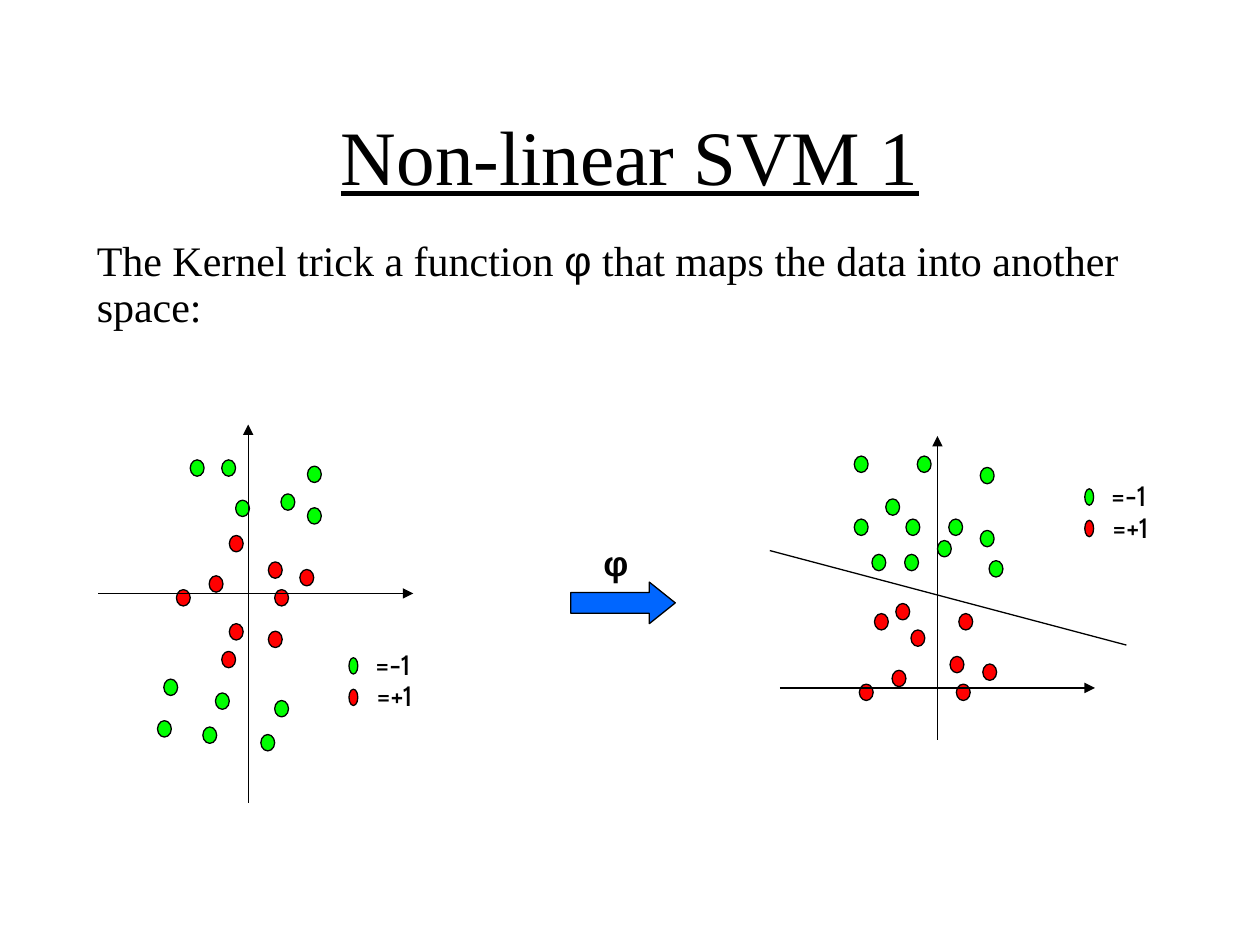
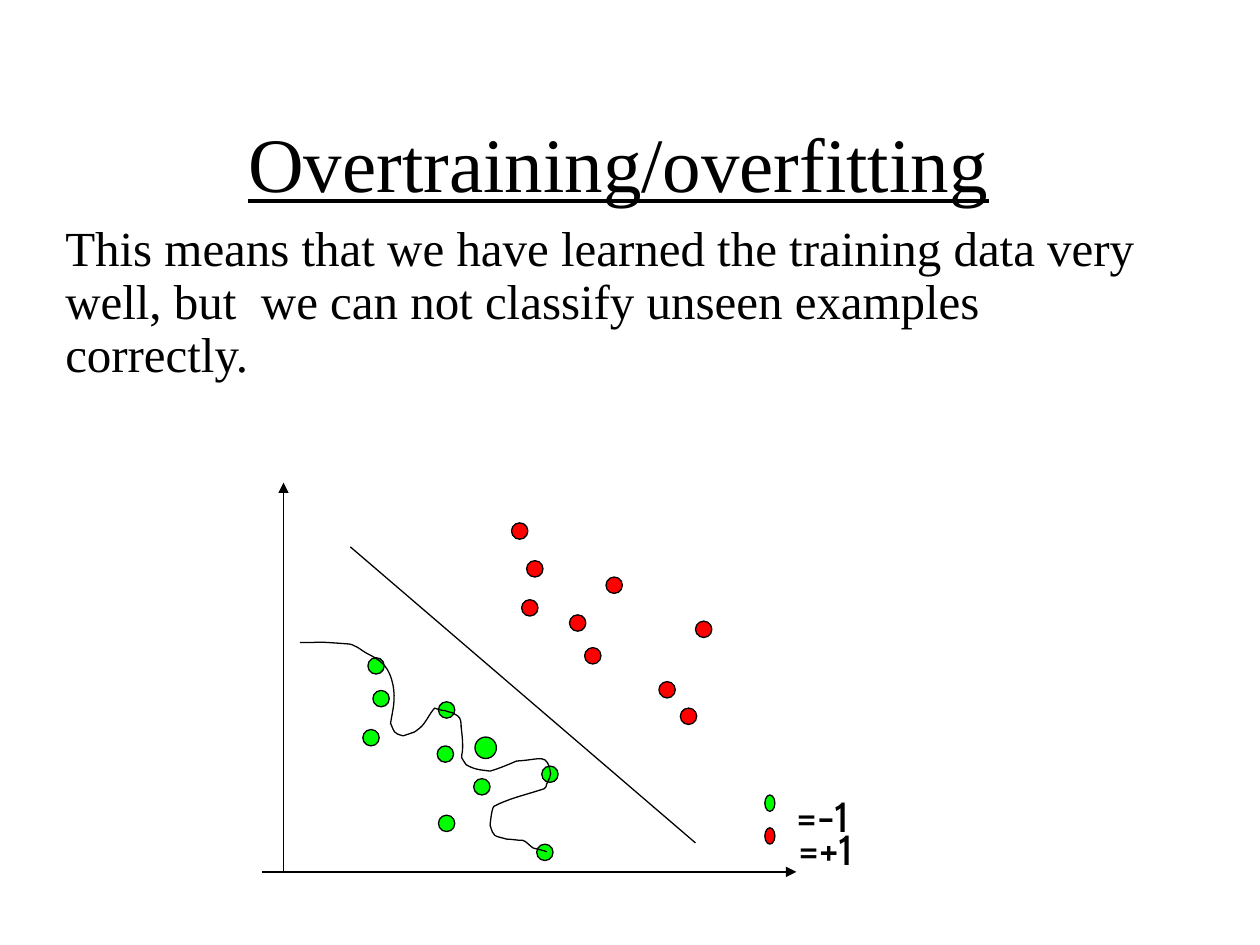
"""Build two slides on non-linear support vector machines and overfitting."""
from dataclasses import dataclass
from typing import NamedTuple

from lxml.etree import SubElement
from pptx import Presentation
from pptx.dml.color import RGBColor
from pptx.enum.shapes import MSO_CONNECTOR as Connector, MSO_SHAPE as Preset
from pptx.enum.text import MSO_ANCHOR as Anchor, MSO_AUTO_SIZE as AutoSize, PP_ALIGN as Align
from pptx.oxml.ns import qn
from pptx.shapes.autoshape import Shape
from pptx.slide import Slide
from pptx.util import Inches, Pt


@dataclass(frozen=True)
class Theme:
    black: RGBColor = RGBColor(0x00, 0x00, 0x00)
    negative: RGBColor = RGBColor(0x00, 0xFF, 0x00)
    positive: RGBColor = RGBColor(0xFF, 0x00, 0x00)
    arrow: RGBColor = RGBColor(0x00, 0x66, 0xFF)
    serif: str = "Times New Roman"
    symbol: str = "Arial"
    label: str = "Cabin"
    title_size: int = 44
    large_body_size: int = 28
    body_size: int = 24
    phi_size: int = 20
    legend_size: int = 16
    large_legend_size: int = 24
    line_width: float = 0.75


THEME = Theme()


class Point(NamedTuple):
    x: float
    y: float


class Box(NamedTuple):
    left: float
    top: float
    width: float
    height: float


class Run(NamedTuple):
    text: str
    font: str = THEME.serif


@dataclass(frozen=True)
class Line:
    start: Point
    end: Point
    arrow: bool = False


@dataclass(frozen=True)
class Legend:
    left: float
    top: float
    marker_width: float = 0.07
    pitch: float = 0.25
    negative_label: Box = Box(0.11, -0.1, 0.52, 0.34)
    positive_label: Box = Box(0.12, -0.1, 0.58, 0.34)
    size: int = THEME.legend_size


@dataclass(frozen=True)
class Plot:
    negatives: list[tuple[float, float]]
    positives: list[tuple[float, float]]
    dot_width: float
    lines: list[Line]
    legend: Legend


DOT_HEIGHT = 0.13

INPUT_SPACE = Plot(
    negatives=[(1.87, 3.97), (2.23, 3.92), (2.18, 5.56), (1.25, 5.72), (1.61, 5.77),
               (2.07, 5.83), (1.51, 3.65), (1.3, 5.39), (1.71, 5.5), (1.76, 3.65),
               (2.44, 3.7), (2.44, 4.03)],
    positives=[(2.13, 5.01), (2.38, 4.52), (1.76, 5.17), (2.18, 4.68), (1.82, 4.25),
               (1.82, 4.95), (2.13, 4.46), (1.66, 4.57), (1.4, 4.68)],
    dot_width=0.11,
    lines=[Line(Point(1.97, 6.37), Point(1.97, 3.37), True),
           Line(Point(0.78, 4.71), Point(3.28, 4.71), True)],
    legend=Legend(2.77, 5.22),
)

FEATURE_SPACE = Plot(
    negatives=[(7.28, 3.62), (7.44, 4.29), (7.78, 4.21), (6.78, 3.62), (7.03, 3.96),
               (7.53, 4.12), (6.92, 4.4), (6.78, 4.12), (7.19, 4.12), (7.18, 4.4),
               (7.85, 4.45), (7.78, 3.71)],
    positives=[(7.61, 4.87), (7.8, 5.27), (6.94, 4.87), (7.59, 5.43), (7.23, 5),
               (7.11, 4.79), (7.54, 5.21), (7.08, 5.32), (6.82, 5.43)],
    dot_width=0.11,
    lines=[Line(Point(7.44, 5.87), Point(7.44, 3.46), True),
           Line(Point(6.19, 5.46), Point(8.69, 5.46), True),
           Line(Point(6.11, 4.37), Point(8.94, 5.12))],
    legend=Legend(8.61, 3.88),
)

OVERFIT = Plot(
    negatives=[(2.92, 5.22), (2.96, 5.48), (4.3, 6.08), (3.48, 5.57), (3.76, 6.18),
               (3.48, 6.47), (2.88, 5.79), (3.47, 5.92), (4.26, 6.7)],
    positives=[(4.06, 4.15), (4.81, 4.58), (5.52, 4.93), (5.4, 5.62), (4.14, 4.76),
               (4.64, 5.14), (5.23, 5.41), (4.52, 4.88), (4.18, 4.45)],
    dot_width=0.13,
    lines=[Line(Point(2.25, 6.92), Point(2.25, 3.83), True),
           Line(Point(2.08, 6.92), Point(6.32, 6.92), True),
           Line(Point(2.78, 4.34), Point(5.52, 6.69))],
    legend=Legend(6.07, 6.31, 0.08, 0.26, Box(0.15, -0.04, 0.69, 0.46),
                  Box(0.17, -0.04, 0.77, 0.46), THEME.large_legend_size),
)

BOUNDARY_START = Point(4.34, 6.76)
BOUNDARY_CURVES = [
    (4.32, 6.75, 4.26, 6.74, 4.23, 6.73), (4.2, 6.71, 4.18, 6.68, 4.15, 6.67),
    (4.1, 6.67, 4.06, 6.66, 4.02, 6.66), (3.92, 6.63, 3.92, 6.65, 3.89, 6.55),
    (3.89, 6.55, 3.9, 6.42, 3.92, 6.4), (3.93, 6.39, 3.95, 6.39, 3.96, 6.38),
    (4.07, 6.33, 4.2, 6.3, 4.32, 6.26), (4.33, 6.25, 4.34, 6.24, 4.34, 6.22),
    (4.36, 6.19, 4.37, 6.14, 4.37, 6.14), (4.34, 5.97, 4.3, 6.03, 4.1, 6.04),
    (4.03, 6.07, 3.96, 6.1, 3.89, 6.12), (3.81, 6.11, 3.77, 6.11, 3.7, 6.07),
    (3.62, 5.95, 3.7, 6.08, 3.66, 5.77), (3.66, 5.74, 3.66, 5.7, 3.63, 5.68),
    (3.56, 5.64, 3.62, 5.67, 3.53, 5.64), (3.5, 5.64, 3.45, 5.62, 3.45, 5.62),
    (3.41, 5.66, 3.38, 5.74, 3.33, 5.78), (3.32, 5.79, 3.3, 5.8, 3.29, 5.81),
    (3.26, 5.82, 3.2, 5.84, 3.2, 5.84), (3.12, 5.82, 3.13, 5.81, 3.1, 5.74),
    (3.12, 5.62, 3.14, 5.56, 3.12, 5.44), (3.09, 5.3, 3.04, 5.25, 2.92, 5.19),
    (2.86, 5.16, 2.82, 5.11, 2.75, 5.11), (2.48, 5.09, 2.6, 5.1, 2.38, 5.1),
]


def add_text(slide: Slide, box: Box, runs: list[Run], size: int, wrap: bool = True,
             line_spacing: float = 0.9) -> Shape:
    shape = slide.shapes.add_textbox(*map(Inches, box))
    shape.text_frame.word_wrap = wrap
    if not wrap:
        shape.text_frame.auto_size = AutoSize.SHAPE_TO_FIT_TEXT
    paragraph = shape.text_frame.paragraphs[0]
    paragraph.line_spacing = line_spacing
    paragraph.font.size = Pt(size)
    paragraph.font.color.rgb = THEME.black
    if len(runs) == 1:
        paragraph.font.name = runs[0].font
    for item in runs:
        run = paragraph.add_run()
        run.text = item.text
        if len(runs) > 1:
            run.font.name = item.font
    return shape


def add_title(slide: Slide, text: str, left: float, top: float) -> None:
    shape = add_text(slide, Box(left, top, 8.5, 1.25), [Run(text)],
                     THEME.title_size, line_spacing=1.0)
    shape.text_frame.vertical_anchor = Anchor.MIDDLE
    paragraph = shape.text_frame.paragraphs[0]
    paragraph.alignment = Align.CENTER
    paragraph.font.underline = True


def outline(shape: Shape) -> None:
    shape.shadow.inherit = False
    shape.line.color.rgb = THEME.black
    shape.line.width = Pt(THEME.line_width)


def add_preset(slide: Slide, preset: Preset, box: Box, fill: RGBColor) -> Shape:
    shape = slide.shapes.add_shape(preset, *map(Inches, box))
    shape.fill.solid()
    shape.fill.fore_color.rgb = fill
    outline(shape)
    return shape


def add_line(slide: Slide, line: Line) -> None:
    connector = slide.shapes.add_connector(
        Connector.STRAIGHT, *map(Inches, (*line.start, *line.end)))
    connector.line.color.rgb = THEME.black
    connector.line.width = Pt(THEME.line_width)
    if line.arrow:
        SubElement(connector.line._get_or_add_ln(), qn("a:tailEnd"), type="triangle")
    SubElement(connector._element.spPr, qn("a:effectLst"))


def add_legend(slide: Slide, legend: Legend) -> None:
    entries = [("=-1", THEME.negative, legend.negative_label),
               ("=+1", THEME.positive, legend.positive_label)]
    for index, (text, color, label) in enumerate(entries):
        top = legend.top + index * legend.pitch
        add_preset(slide, Preset.OVAL,
                   Box(legend.left, top, legend.marker_width, DOT_HEIGHT), color)
        box = Box(legend.left + label.left, top + label.top, label.width, label.height)
        add_text(slide, box, [Run(text, THEME.label)], legend.size, wrap=False)


def add_plot(slide: Slide, plot: Plot) -> None:
    groups = [(plot.negatives, THEME.negative), (plot.positives, THEME.positive)]
    for positions, color in groups:
        for left, top in positions:
            add_preset(slide, Preset.OVAL,
                       Box(left, top, plot.dot_width, DOT_HEIGHT), color)
    for line in plot.lines:
        add_line(slide, line)
    add_legend(slide, plot.legend)


def add_boundary(slide: Slide) -> None:
    vertices = [(Inches(curve[index]), Inches(curve[index + 1]))
                for curve in BOUNDARY_CURVES for index in (0, 2, 4)]
    builder = slide.shapes.build_freeform(*map(Inches, BOUNDARY_START))
    builder.add_line_segments(vertices, close=False)
    shape = builder.convert_to_shape()
    contour = next(shape._element.iter(qn("a:path")))
    segments = contour.findall(qn("a:lnTo"))
    for first in range(0, len(segments), 3):
        curve = SubElement(contour, qn("a:cubicBezTo"))
        for segment in segments[first:first + 3]:
            curve.append(segment[0])
            contour.remove(segment)
    shape.fill.background()
    outline(shape)


def build_kernel_slide(slide: Slide) -> None:
    add_title(slide, "Non-linear SVM 1", 0.75, 0.6)
    add_text(slide, Box(0.67, 1.86, 9, 0.82),
             [Run("The Kernel trick a function "), Run("φ", THEME.symbol),
              Run(" that maps the data into another space:")], THEME.body_size)
    add_plot(slide, INPUT_SPACE)
    arrow = add_preset(slide, Preset.RIGHT_ARROW, Box(4.53, 4.62, 0.83, 0.33), THEME.arrow)
    arrow.adjustments[1] = 0.625
    add_plot(slide, FEATURE_SPACE)
    phi = add_text(slide, Box(4.69, 4.29, 0.34, 0.4), [Run("φ", THEME.symbol)],
                   THEME.phi_size, wrap=False)
    phi.text_frame.paragraphs[0].font.bold = True


def build_overfitting_slide(slide: Slide) -> None:
    add_title(slide, "Overtraining/overfitting", 0.66, 0.66)
    add_plot(slide, OVERFIT)
    add_preset(slide, Preset.OVAL, Box(3.77, 5.85, 0.17, 0.17), THEME.negative)
    add_boundary(slide)
    add_text(slide, Box(0.42, 1.73, 8.76, 1.36),
             [Run("This means that we have learned the training data very well, "
                  "but  we can not classify unseen examples correctly.")],
             THEME.large_body_size)


def main() -> None:
    presentation = Presentation()
    presentation.slide_width = Inches(10)
    presentation.slide_height = Inches(7.5)
    for build in (build_kernel_slide, build_overfitting_slide):
        build(presentation.slides.add_slide(presentation.slide_layouts[6]))
    presentation.save("out.pptx")


if __name__ == "__main__":
    main()
